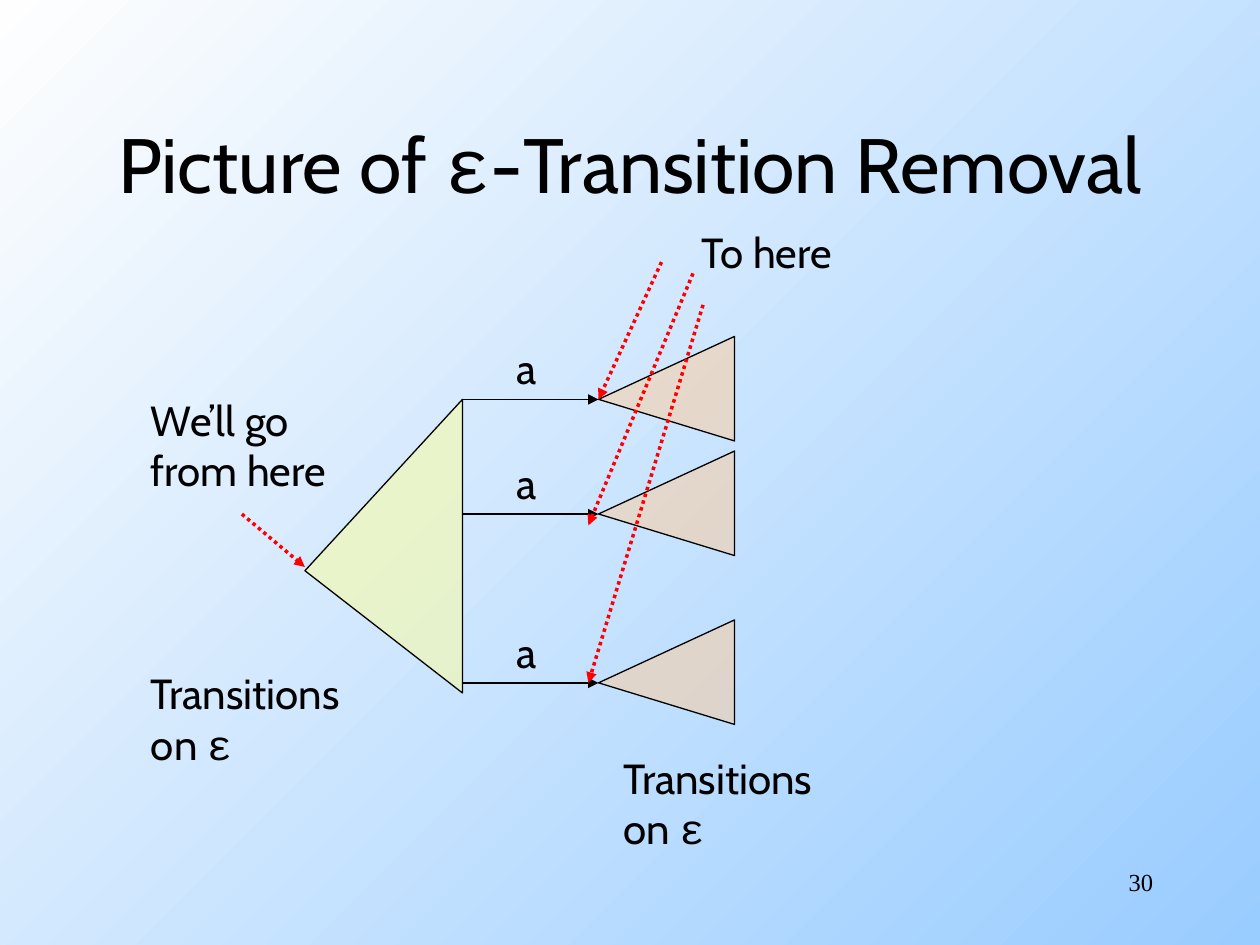
from dataclasses import dataclass
from itertools import groupby

from lxml.etree import SubElement
from pptx import Presentation
from pptx.dml.color import RGBColor
from pptx.enum.dml import MSO_LINE
from pptx.enum.shapes import MSO_CONNECTOR
from pptx.enum.text import MSO_ANCHOR, MSO_AUTO_SIZE, PP_ALIGN
from pptx.oxml.ns import qn
from pptx.util import Inches, Pt


@dataclass(frozen=True)
class Theme:
    ink: str = "000000"
    accent: str = "FF0000"
    source_fill: str = "FFFF99"
    target_fill: str = "FFCC99"
    sky: str = "99CCFF"
    light: str = "FEFEFE"
    font: str = "Cabin"
    greek_font: str = "Courier New"
    number_font: str = "Times New Roman"
    title_size: int = 44
    label_size: int = 24
    number_size: int = 14
    thin: float = 0.75
    thick: float = 2


def set_text(tf, text, *, size, color, font, greek_font, align=None):
    """Fill a text frame, one paragraph per line, with ε in its own font."""
    for i, line in enumerate(text.split("\n")):
        p = tf.add_paragraph() if i else tf.paragraphs[0]
        p.alignment = align
        for is_greek, chars in groupby(line, key=lambda c: c == "ε"):
            r = p.add_run()
            r.text = "".join(chars)
            r.font.size = Pt(size)
            r.font.name = greek_font if is_greek else font
            r.font.color.rgb = RGBColor.from_string(color)


class SlideBuilder:
    def __init__(self, slide, theme):
        self.slide = slide
        self.shapes = slide.shapes
        self.theme = theme

    def themed_text(self, tf, text, size, font=None, align=None):
        t = self.theme
        set_text(tf, text, size=size, color=t.ink, font=font or t.font,
                 greek_font=t.greek_font, align=align)

    def background(self):
        fill = self.slide.background.fill
        fill.gradient()
        fill.gradient_angle = 135
        colors = (self.theme.sky, self.theme.light)
        for stop, color in zip(fill.gradient_stops, colors):
            stop.color.rgb = RGBColor.from_string(color)

    def title(self, text, left, top, width, height):
        sp = self.shapes.title
        sp.left, sp.top = Inches(left), Inches(top)
        sp.width, sp.height = Inches(width), Inches(height)
        tf = sp.text_frame
        tf.auto_size = MSO_AUTO_SIZE.NONE
        tf.vertical_anchor = MSO_ANCHOR.MIDDLE
        self.themed_text(tf, text, self.theme.title_size,
                         align=PP_ALIGN.CENTER)

    def label(self, text, left, top, width, height=0.5):
        sp = self.shapes.add_textbox(*map(Inches, (left, top, width, height)))
        tf = sp.text_frame
        tf.word_wrap = False
        tf.auto_size = MSO_AUTO_SIZE.SHAPE_TO_FIT_TEXT
        self.themed_text(tf, text, self.theme.label_size)
        return sp

    def number(self, text, left, top, width, height):
        sp = self.shapes.add_textbox(*map(Inches, (left, top, width, height)))
        sp.text_frame.word_wrap = True
        self.themed_text(sp.text_frame, text, self.theme.number_size,
                         self.theme.number_font, PP_ALIGN.RIGHT)

    def triangle(self, tip, upper, lower, color):
        """Draw a half-transparent triangle through three points."""
        points = [tuple(map(Inches, point)) for point in (tip, upper, lower)]
        builder = self.shapes.build_freeform(*points[0])
        builder.add_line_segments(points[1:], close=True)
        sp = builder.convert_to_shape()
        sp.shadow.inherit = False
        sp.fill.solid()
        sp.fill.fore_color.rgb = RGBColor.from_string(color)
        rgb = sp._element.spPr.find(qn("a:solidFill")).find(qn("a:srgbClr"))
        SubElement(rgb, qn("a:alpha"), val="50000")
        sp.line.color.rgb = RGBColor.from_string(self.theme.ink)
        sp.line.width = Pt(self.theme.thin)

    def arrow(self, start, end, dotted=False):
        t = self.theme
        sp = self.shapes.add_connector(
            MSO_CONNECTOR.STRAIGHT, *map(Inches, (*start, *end)))
        sp.line.color.rgb = RGBColor.from_string(t.accent if dotted else t.ink)
        sp.line.width = Pt(t.thick if dotted else t.thin)
        if dotted:
            sp.line.dash_style = MSO_LINE.ROUND_DOT
        SubElement(sp.get_or_add_ln(), qn("a:tailEnd"), type="triangle")
        SubElement(sp._element.spPr, qn("a:effectLst"))
        return sp


def main():
    prs = Presentation()
    prs.slide_width, prs.slide_height = Inches(10), Inches(7.5)
    theme = Theme()
    s = SlideBuilder(prs.slides.add_slide(prs.slide_layouts[5]), theme)

    s.background()
    s.title("Picture of ε-Transition Removal", 0, 0.67, 10, 1.25)

    source_x, target_x, target_right = 3.67, 4.75, 5.83
    s.triangle((2.42, 4.53), (source_x, 3.17), (source_x, 5.5),
               theme.source_fill)
    s.label("Transitions\non ε", 1.1, 5.25, 1.93, 0.9)

    for y in (3.17, 4.08, 5.42):
        s.arrow((source_x, y), (target_x, y))
        s.label("a", 4, y - 0.5, 0.38)
        s.triangle((target_x, y), (target_right, y - 0.5),
                   (target_right, y + 0.33), theme.target_fill)
    s.label("Transitions\non ε", 4.85, 5.92, 1.93, 0.9)

    from_here = [s.label("We’ll go\nfrom here", 1.1, 3.08, 1.77, 0.9),
                 s.arrow((1.92, 4.08), (2.42, 4.5), dotted=True)]
    s.shapes.add_group_shape(from_here)

    s.label("To here", 5.47, 1.75, 1.39)
    for start, end in (((5.25, 2.08), (4.75, 3.17)),
                       ((5.5, 2.17), (4.67, 4.17)),
                       ((5.58, 2.42), (4.67, 5.42))):
        s.arrow(start, end, dotted=True)

    s.number("30", 7.17, 6.83, 2.08, 0.5)
    prs.save("out.pptx")


if __name__ == "__main__":
    main()
